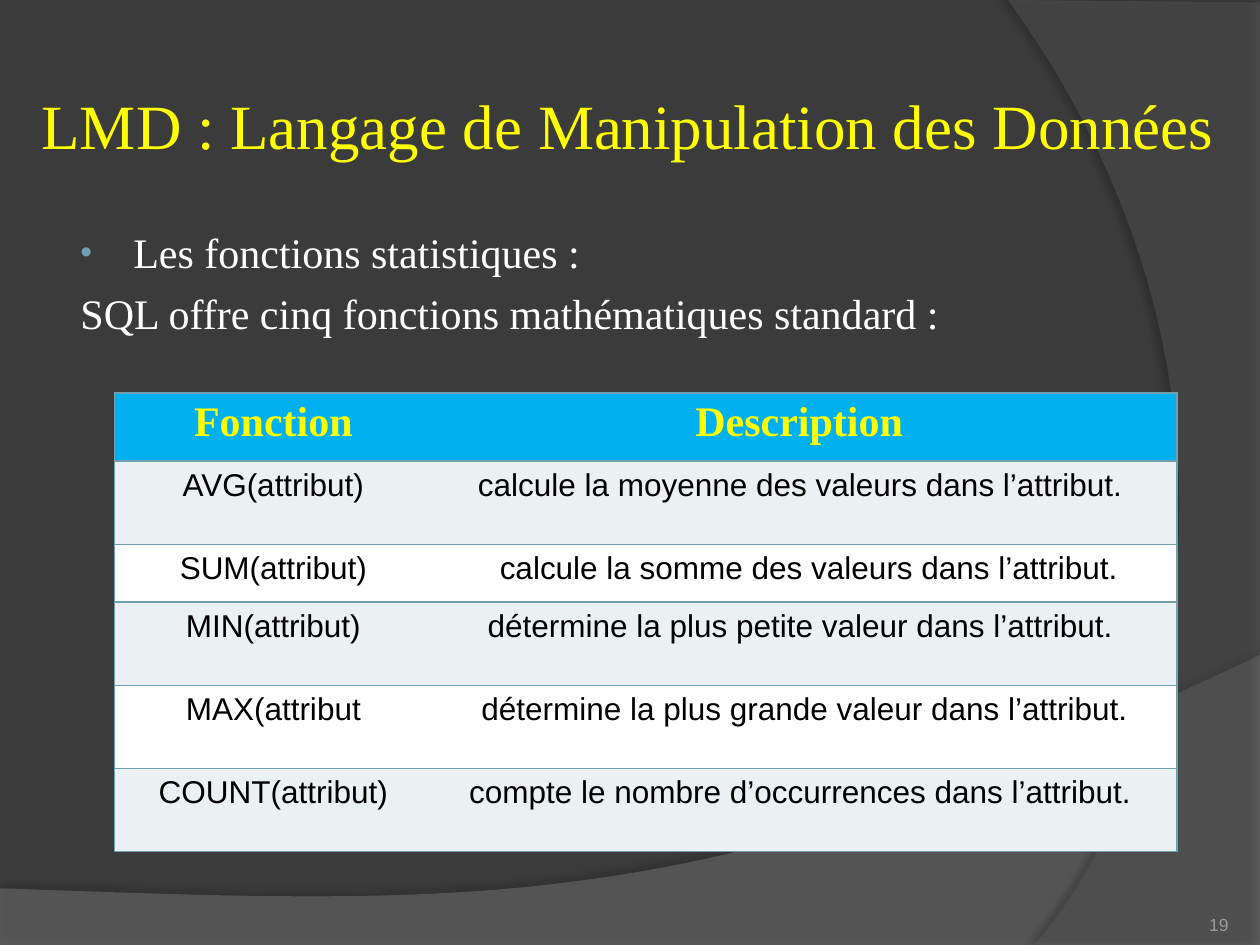
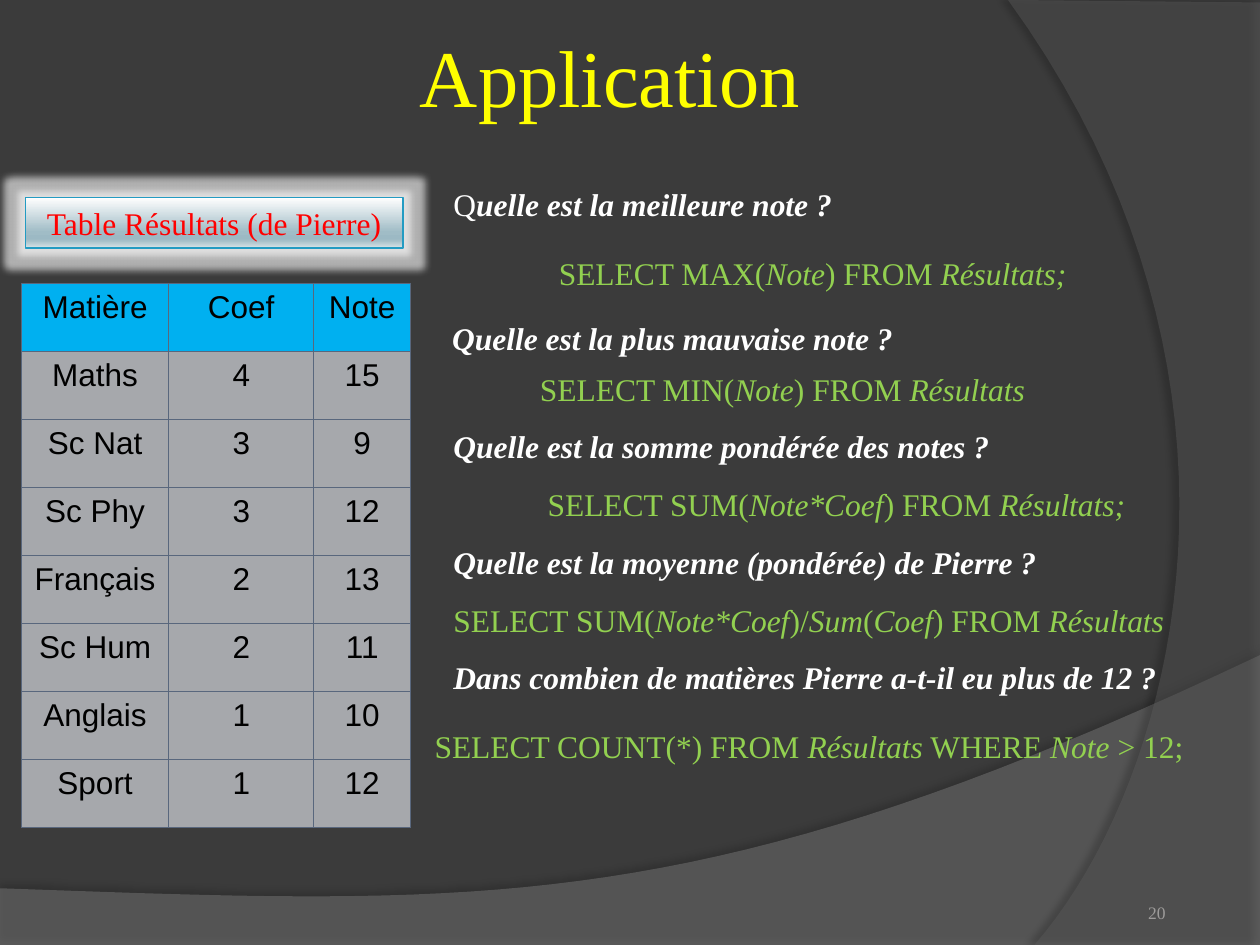
"""Build two slides on SQL statistical functions and their application."""
from lxml import etree
from pptx import Presentation, util as u
from pptx.dml import color
from pptx.enum import shapes, text
from pptx.oxml import ns

SERIF, SANS = "Times New Roman", "Arial"
YELLOW, WHITE, GREEN, BLACK, RED = "FFFF00", "FFFFFF", "92D050", "000000", "FF0000"
BLUE, TEAL, SLATE, GREY = "00B0F0", "6EA0B0", "59677D", "9D9B9A"
LEFT, CENTER, RIGHT = text.PP_ALIGN.LEFT, text.PP_ALIGN.CENTER, text.PP_ALIGN.RIGHT
TOP, MIDDLE, BOTTOM = text.MSO_ANCHOR.TOP, text.MSO_ANCHOR.MIDDLE, text.MSO_ANCHOR.BOTTOM
XMLNS = f'xmlns:a="{ns.nsdecls("a").split(chr(34))[1]}"'


def rgb(value):
    return color.RGBColor.from_string(value)


def write(frame, content, size=18, colour=WHITE, font=SERIF, align=LEFT, bold=False, strong=False, before=0):
    """Add a paragraph; underscores switch italics (bold too if strong) on and off."""
    paragraph = frame.add_paragraph() if frame.text else frame.paragraphs[0]
    paragraph.alignment = align
    paragraph.space_before = u.Pt(before)
    for index, part in enumerate(content.split("_")):
        if part:
            run = paragraph.add_run()
            run.text = part
            run.font.size = u.Pt(size)
            run.font.name = font
            run.font.color.rgb = rgb(colour)
            run.font.italic = index % 2 == 1
            run.font.bold = bold or (strong and index % 2 == 1)
    return paragraph


presentation = Presentation()
presentation.slide_width = u.Inches(10)
presentation.slide_height = u.Inches(7.5)
slides = [presentation.slides.add_slide(presentation.slide_layouts[6]) for _ in range(2)]
functions_slide, application_slide = slides

# Each wave: corners, Bézier curve, closing corners, fill, opacity, shadow opacity, distance, direction
waves = [
    ([(0, 7.05), (0, 7.5), (10, 7.5)], [(10, 5.2), (5.59, 7.29), (3.91, 7.19), (0, 7.05)],
     "7F7F7F", 45, 35, 3.5, 270),
    ([(10, 0.02), (10, 7.5)], [(8.21, 7.5), (9.35, 6.19), (10.18, 3), (8, 0)],
     "5E5E5E", 40, 45, 4, 180),
]
for slide in slides:
    slide.background.fill.solid()
    slide.background.fill.fore_color.rgb = rgb("3B3B3B")
    for corners, curve, fill, opacity, shade, distance, direction in waves:
        points = list(corners)
        for step in range(41):
            t = step / 40
            weights = ((1 - t) ** 3, 3 * t * (1 - t) ** 2, 3 * t * t * (1 - t), t ** 3)
            points.append(tuple(sum(w * p[axis] for w, p in zip(weights, curve)) for axis in (0, 1)))
        points = [(u.Inches(x), u.Inches(y)) for x, y in points]
        builder = slide.shapes.build_freeform(*points[0], scale=1.0)
        builder.add_line_segments(points[1:], close=True)
        wave = builder.convert_to_shape()
        wave.fill.solid()
        wave.fill.fore_color.rgb = rgb(fill)
        wave.line.fill.background()
        tint = wave._element.spPr.find(".//" + ns.qn("a:srgbClr"))
        etree.SubElement(tint, ns.qn("a:alpha"), val=str(opacity * 1000))
        wave._element.spPr.append(etree.fromstring(
            f'<a:effectLst {XMLNS}><a:outerShdw blurRad="{u.Pt(4)}" dist="{u.Pt(distance)}" '
            f'dir="{direction * 60000}" rotWithShape="0"><a:srgbClr val="{BLACK}">'
            f'<a:alpha val="{shade * 1000}"/></a:srgbClr></a:outerShdw></a:effectLst>'))

statistics = [
    ("Fonction", "Description "),
    ("AVG(attribut)", "calcule la moyenne des valeurs dans l’attribut. "),
    ("SUM(attribut)", " calcule la somme des valeurs dans l’attribut."),
    ("MIN(attribut)", "détermine la plus petite valeur dans l’attribut. "),
    ("MAX(attribut", " détermine la plus grande valeur dans l’attribut. "),
    ("COUNT(attribut)", "compte le nombre d’occurrences dans l’attribut. "),
]
results = [
    ("Matière", "Coef", "Note"),
    ("Maths", "4", "15"),
    ("Sc Nat", "3", "9"),
    ("Sc Phy", "3", "12"),
    ("Français", "2", "13"),
    ("Sc Hum", "2", "11"),
    ("Anglais", "1", "10"),
    ("Sport", "1", "12"),
]
tables = [
    (functions_slide, 0.91, 3.12, [2.52, 5.91], [0.54, 0.66, 0.46, 0.66, 0.66, 0.66], statistics,
     dict(size=24, colour=YELLOW, bold=True), [WHITE, "EBF0F2"], TEAL, 1, False),
    (application_slide, 0.17, 2.25, [1.17, 1.15, 0.77], [0.54] * 8, results,
     dict(colour=BLACK, font=SANS), ["A6A8AC"] * 2, SLATE, 0.75, True),
]
for slide, left, top, widths, heights, rows, heading, bands, border, weight, inner in tables:
    frame = slide.shapes.add_table(len(rows), len(widths), u.Inches(left), u.Inches(top),
                                   u.Inches(sum(widths)), u.Inches(sum(heights)))
    table = frame.table
    for column, width in zip(table.columns, widths):
        column.width = u.Inches(width)
    for row_index, (row, height) in enumerate(zip(rows, heights)):
        table.rows[row_index].height = u.Inches(height)
        for column_index, content in enumerate(row):
            cell = table.cell(row_index, column_index)
            cell.fill.solid()
            cell.fill.fore_color.rgb = rgb(bands[row_index % 2] if row_index else BLUE)
            style = dict(colour=BLACK, font=SANS) if row_index else heading
            write(cell.text_frame, content, align=CENTER, **style)
            drawn = {"L": inner or column_index == 0, "R": inner or column_index == len(row) - 1,
                     "T": True, "B": True}
            for position, (side, visible) in enumerate(drawn.items()):
                paint = f'<a:solidFill><a:srgbClr val="{border}"/></a:solidFill>' if visible else "<a:noFill/>"
                cell._tc.get_or_add_tcPr().insert(position, etree.fromstring(
                    f'<a:ln{side} {XMLNS} w="{u.Pt(weight)}">{paint}</a:ln{side}>'))

label = application_slide.shapes.add_shape(
    shapes.MSO_SHAPE.RECTANGLE, u.Inches(0.2), u.Inches(1.57), u.Inches(3), u.Inches(0.4))
label.line.color.rgb = rgb("239BC2")
label.line.width = u.Pt(0.75)
label.fill.background()
stops = [(0, "FEFEFE"), (68, "A0BCC6"), (81, "9CB9C4"), (86, "A7C0C9"), (100, "DAE4E7")]
gradient = "".join(f'<a:gs pos="{place * 1000}"><a:srgbClr val="{tone}"/></a:gs>' for place, tone in stops)
properties = label._element.spPr
properties.replace(properties.find(ns.qn("a:noFill")), etree.fromstring(
    f'<a:gradFill {XMLNS}><a:gsLst>{gradient}</a:gsLst><a:lin ang="5400000" scaled="0"/></a:gradFill>'))
properties.append(etree.fromstring(
    f'<a:effectLst {XMLNS}><a:glow rad="{u.Pt(8)}"><a:srgbClr val="{WHITE}">'
    f'<a:alpha val="60000"/></a:srgbClr></a:glow></a:effectLst>'))
label.text_frame.vertical_anchor = MIDDLE
write(label.text_frame, "Table Résultats (de Pierre)", colour=RED, align=CENTER)

title = dict(colour=YELLOW)
footer = dict(size=10, colour=GREY, align=RIGHT)
question = dict(strong=True)
query = dict(colour=GREEN)
centred_query = dict(colour=GREEN, align=CENTER)
text_boxes = [
    (functions_slide, 0.28, 0.36, 9.61, 1.25, MIDDLE, 0.05,
     "LMD : Langage de Manipulation des Données", dict(title, size=36)),
    (functions_slide, 8.92, 7.02, 0.83, 0.4, BOTTOM, 0, "19", dict(footer, font=SANS)),
    (application_slide, 0.59, -0.03, 8.5, 1.25, MIDDLE, 0.05, "Application", dict(title, size=46, align=CENTER)),
    (application_slide, 7.17, 6.83, 2.08, 0.5, BOTTOM, 0, "20", footer),
    (application_slide, 3.5, 1.42, 4.75, 0.4, TOP, 0.1, "Q_uelle est la meilleure note ?_", question),
    (application_slide, 3.97, 1.97, 4.96, 0.4, TOP, 0.1, "SELECT MAX(_Note_) FROM _Résultats;_", centred_query),
    (application_slide, 3.49, 2.48, 4.75, 0.4, TOP, 0.1, "_Quelle est la plus mauvaise note ?_", question),
    (application_slide, 3.17, 2.89, 6.08, 0.4, TOP, 0.1, "SELECT MIN(_Note_) FROM _Résultats_", centred_query),
    (application_slide, 3.5, 3.34, 4.75, 0.4, TOP, 0.1, "_Quelle est la somme pondérée des notes ?_", question),
    (application_slide, 3.9, 3.8, 5.54, 0.4, TOP, 0.1,
     "SELECT SUM(_Note*Coef_) FROM _Résultats; _", centred_query),
    (application_slide, 3.5, 4.26, 6.17, 0.4, TOP, 0.1, "_Quelle est la moyenne (pondérée) de Pierre ?_", question),
    (application_slide, 3.5, 4.72, 6, 0.4, TOP, 0.1,
     "SELECT SUM(_Note*Coef_)/_Sum_(_Coef_) FROM _Résultats_", query),
    (application_slide, 3.5, 5.17, 6, 0.4, TOP, 0.1,
     "_Dans combien de matières Pierre a-t-il eu plus de 12 ?_", question),
    (application_slide, 3.35, 5.72, 6.65, 0.86, TOP, 0.1,
     "SELECT COUNT(*) FROM _Résultats_ WHERE _Note _> 12;", query),
    (functions_slide, 0.5, 1.75, 8.91, 1.21, TOP, 0.1, "Les fonctions statistiques :", dict(size=24)),
]
for slide, left, top, width, height, anchor, inset, content, style in text_boxes:
    box = slide.shapes.add_textbox(u.Inches(left), u.Inches(top), u.Inches(width), u.Inches(height))
    frame = box.text_frame
    frame.word_wrap = True
    frame.vertical_anchor = anchor
    frame.margin_left = frame.margin_right = u.Inches(inset)
    frame.margin_top = frame.margin_bottom = u.Inches(min(inset, 0.05))
    paragraph = write(frame, content, **style)

bullet = paragraph._p.get_or_add_pPr()
bullet.set("marL", str(u.Inches(0.46)))
bullet.set("indent", str(u.Inches(-0.42)))
for element in (f'<a:buClr {XMLNS}><a:srgbClr val="{TEAL}"/></a:buClr>',
                f'<a:buSzPct {XMLNS} val="80000"/>',
                f'<a:buFont {XMLNS} typeface="{SANS}"/>',
                f'<a:buChar {XMLNS} char="•"/>'):
    bullet.append(etree.fromstring(element))
introduction = write(frame, "SQL offre cinq fonctions mathématiques standard :", size=24, before=6)
introduction._p.get_or_add_pPr().set("marL", str(u.Inches(0.04)))

presentation.save("out.pptx")
